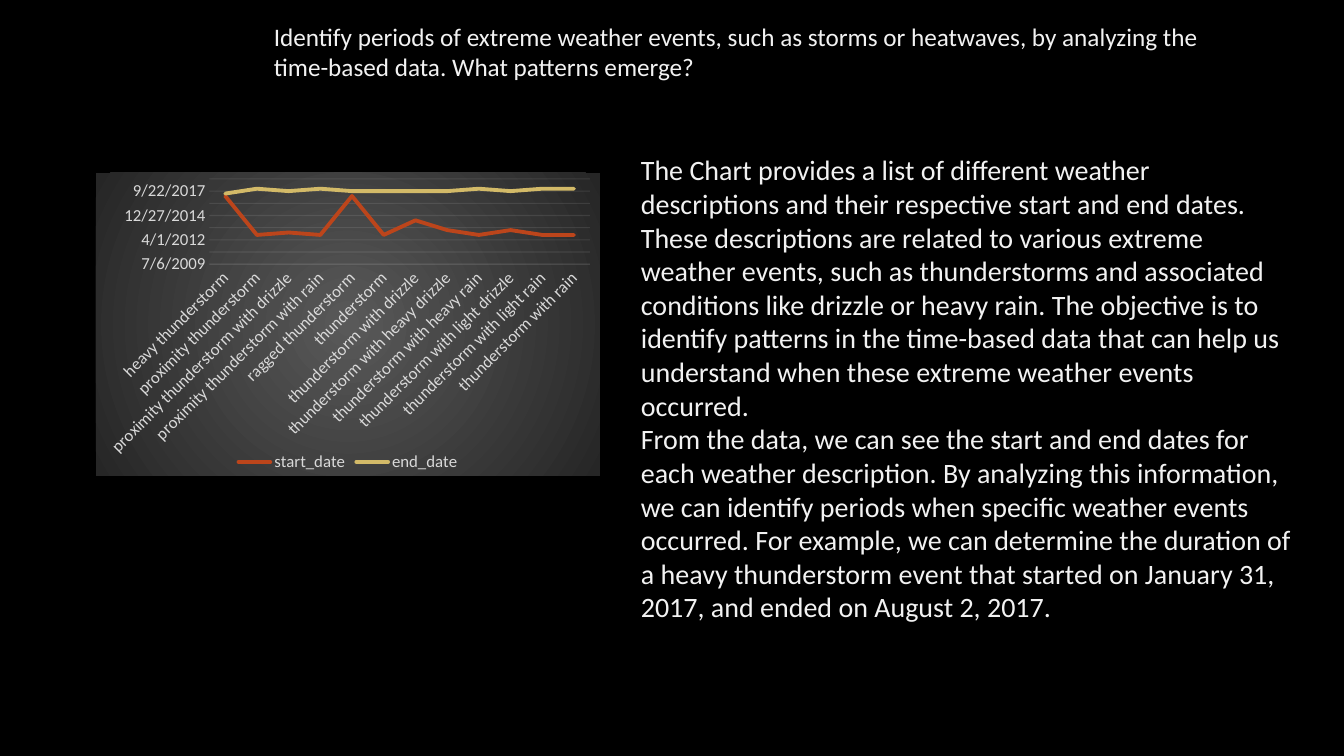
from dataclasses import dataclass

import lxml.etree
import pptx
import pptx.chart.axis
import pptx.chart.chart
import pptx.chart.data
import pptx.dml.color
import pptx.enum.chart
import pptx.enum.text
import pptx.oxml
import pptx.oxml.ns
import pptx.slide
import pptx.text.text
import pptx.util

EMU_PER_PX = 914400 / 100.8
FONT = "Calibri"
BLACK = pptx.dml.color.RGBColor(0x00, 0x00, 0x00)
WHITE = pptx.dml.color.RGBColor(0xFF, 0xFF, 0xFF)
OFF_WHITE = pptx.dml.color.RGBColor(0xF2, 0xF2, 0xF2)
LABEL_GREY = pptx.dml.color.RGBColor(0xD9, 0xD9, 0xD9)
PANEL_CENTRE = pptx.dml.color.RGBColor(0x59, 0x59, 0x59)
PANEL_EDGE = pptx.dml.color.RGBColor(0x26, 0x26, 0x26)
RUST = pptx.dml.color.RGBColor(0xBC, 0x45, 0x1B)
GOLD = pptx.dml.color.RGBColor(0xD3, 0xBA, 0x68)


@dataclass(frozen=True)
class Box:
    left: int
    top: int
    width: int
    height: int

    def emu(self) -> list[pptx.util.Emu]:
        return [px(v) for v in (self.left, self.top, self.width, self.height)]


@dataclass(frozen=True)
class DateSeries:
    name: str
    color: pptx.dml.color.RGBColor
    days: tuple[int, ...]


QUESTION = (
    "Identify periods of extreme weather events, such as storms or heatwaves, "
    "by analyzing the time-based data. What patterns emerge?"
)
FINDINGS = (
    "The Chart provides a list of different weather descriptions and their respective "
    "start and end dates. These descriptions are related to various extreme weather "
    "events, such as thunderstorms and associated conditions like drizzle or heavy rain. "
    "The objective is to identify patterns in the time-based data that can help us "
    "understand when these extreme weather events occurred.",
    "From the data, we can see the start and end dates for each weather description. "
    "By analyzing this information, we can identify periods when specific weather events "
    "occurred. For example, we can determine the duration of a heavy thunderstorm event "
    "that started on January 31, 2017, and ended on August 2, 2017.",
)
WEATHER = (
    "heavy thunderstorm",
    "proximity thunderstorm",
    "proximity thunderstorm with drizzle",
    "proximity thunderstorm with rain",
    "ragged thunderstorm",
    "thunderstorm",
    "thunderstorm with drizzle",
    "thunderstorm with heavy drizzle",
    "thunderstorm with heavy rain",
    "thunderstorm with light drizzle",
    "thunderstorm with light rain",
    "thunderstorm with rain",
)
DATES = (
    DateSeries("start_date", RUST, (42800, 41200, 41300, 41200, 42800, 41200,
                                    41800, 41400, 41200, 41400, 41200, 41200)),
    DateSeries("end_date", GOLD, (42900, 43100, 43000, 43100, 43000, 43000,
                                  43000, 43000, 43100, 43000, 43100, 43100)),
)


def px(length: int) -> pptx.util.Emu:
    return pptx.util.Emu(round(length * EMU_PER_PX))


def style_font(font: pptx.text.text.Font, size: int, color: pptx.dml.color.RGBColor) -> None:
    font.name = FONT
    font.size = pptx.util.Pt(size)
    font.color.rgb = color


def add_text(slide: pptx.slide.Slide, *paragraphs: str, box: Box, size: int,
             color: pptx.dml.color.RGBColor = OFF_WHITE) -> None:
    frame = slide.shapes.add_textbox(*box.emu()).text_frame
    frame.word_wrap = True
    frame.auto_size = pptx.enum.text.MSO_AUTO_SIZE.SHAPE_TO_FIT_TEXT
    frame.text = "\n".join(paragraphs)
    for paragraph in frame.paragraphs:
        for run in paragraph.runs:
            style_font(run.font, size, color)


def set_faint_line(part: pptx.chart.axis.MajorGridlines | pptx.chart.axis.CategoryAxis,
                   axis: pptx.chart.axis.CategoryAxis | pptx.chart.axis.ValueAxis) -> None:
    part.format.line.color.rgb = OFF_WHITE
    part.format.line.width = pptx.util.Pt(0.75)
    for color in axis._element.xpath(".//a:ln//a:srgbClr"):
        lxml.etree.SubElement(color, pptx.oxml.ns.qn("a:alpha"), val="10000")


def fill_panel(chart: pptx.chart.chart.Chart) -> None:
    panel = pptx.oxml.parse_xml(
        f'<c:spPr {pptx.oxml.ns.nsdecls("c", "a")}><a:gradFill><a:gsLst>'
        f'<a:gs pos="0"><a:srgbClr val="{PANEL_CENTRE}"/></a:gs>'
        f'<a:gs pos="100000"><a:srgbClr val="{PANEL_EDGE}"/></a:gs></a:gsLst>'
        '<a:path path="circle"><a:fillToRect l="50000" t="50000" r="50000" b="50000"/>'
        '</a:path></a:gradFill><a:ln><a:noFill/></a:ln></c:spPr>'
    )
    chart._chartSpace.find(pptx.oxml.ns.qn("c:chart")).addnext(panel)


def add_date_chart(slide: pptx.slide.Slide, box: Box) -> None:
    data = pptx.chart.data.CategoryChartData(number_format="m/d/yyyy")
    data.categories = WEATHER
    for dates in DATES:
        data.add_series(dates.name, dates.days)
    chart = slide.shapes.add_chart(
        pptx.enum.chart.XL_CHART_TYPE.LINE, *box.emu(), data
    ).chart
    style_font(chart.font, 10, WHITE)
    fill_panel(chart)
    chart.has_title = False
    chart.has_legend = True
    chart.legend.position = pptx.enum.chart.XL_LEGEND_POSITION.BOTTOM
    chart.legend.include_in_layout = False
    style_font(chart.legend.font, 12, LABEL_GREY)

    plot = chart.plots[0]
    plot.vary_by_categories = False
    for series, dates in zip(plot.series, DATES):
        series.smooth = False
        series.format.line.color.rgb = dates.color
        series.format.line.width = pptx.util.Pt(2.75)
        for stroke in series._element.xpath("./c:spPr/a:ln"):
            stroke.set("cap", "rnd")
            lxml.etree.SubElement(stroke, pptx.oxml.ns.qn("a:round"))

    weather_axis, date_axis = chart.category_axis, chart.value_axis
    for axis in (weather_axis, date_axis):
        axis.major_tick_mark = pptx.enum.chart.XL_TICK_MARK.NONE
        axis.minor_tick_mark = pptx.enum.chart.XL_TICK_MARK.NONE
        style_font(axis.tick_labels.font, 12, LABEL_GREY)
    weather_axis._element.txPr.bodyPr.set("rot", "-2700000")
    set_faint_line(weather_axis, weather_axis)

    date_axis.minimum_scale = 40000
    date_axis.maximum_scale = 43500
    date_axis.major_unit = 500
    date_axis.tick_labels.number_format = "m/d/yyyy"
    date_axis.tick_labels.number_format_is_linked = False
    date_axis.has_major_gridlines = True
    set_faint_line(date_axis.major_gridlines, date_axis)
    date_axis.format.line.fill.background()


def main() -> None:
    deck = pptx.Presentation()
    deck.slide_width, deck.slide_height = px(1344), px(756)
    slide = deck.slides.add_slide(deck.slide_layouts[6])
    slide.background.fill.solid()
    slide.background.fill.fore_color.rgb = BLACK
    add_text(slide, *FINDINGS, box=Box(631, 148, 671, 492), size=20)
    add_date_chart(slide, Box(96, 173, 504, 303))
    add_text(slide, QUESTION, box=Box(264, 16, 996, 74), size=18)
    deck.save("out.pptx")


if __name__ == "__main__":
    main()
